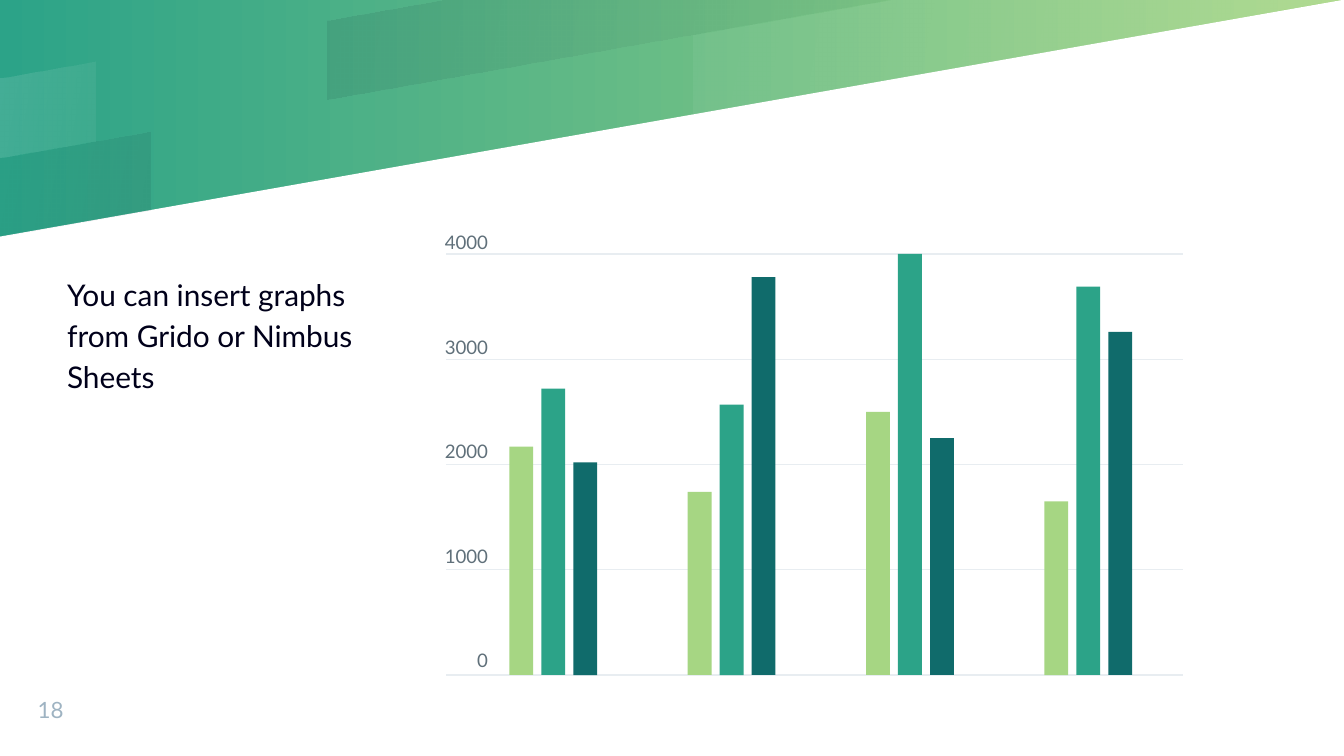
from dataclasses import dataclass
from typing import Optional

from lxml import etree
from pptx import Presentation
from pptx import util as u
from pptx.dml.color import RGBColor
from pptx.enum import shapes, text
from pptx.oxml import ns


@dataclass(frozen=True)
class Theme:
    font: str = "Lato"
    ink: str = "00001A"
    white: str = "FFFFFF"
    label: str = "60707A"
    page: str = "9EB3C2"
    grid: str = "E8EDF1"
    light: str = "A6D683"
    medium: str = "2CA388"
    dark: str = "106B6B"
    body_size: float = 16
    page_size: float = 12
    label_size: float = 10


@dataclass(frozen=True)
class Box:
    """A frame in shares of the slide's width and height."""
    left: float
    top: float
    width: float
    height: float


@dataclass(frozen=True)
class Band:
    """A translucent strip parallel to the header's slanted edge."""
    level: int
    left: float
    right: float
    color: str
    start_alpha: int
    end_alpha: int


@dataclass(frozen=True)
class Series:
    color: str
    values: tuple[int, ...]


THEME = Theme()
WIDTH, HEIGHT = u.Inches(10), u.Inches(5.625)

# The slanted edge falls from (EDGE_REACH, 0) to (0, EDGE_DROP).
EDGE_REACH, EDGE_DROP, BAND_DEPTH = 0.999, 0.313, 0.1045
BANDS = (
    Band(0, 0, 0.112, THEME.ink, 2, 8),
    Band(0, 0.516, EDGE_REACH, THEME.white, 5, 12),
    Band(1, 0, 0.071, THEME.white, 12, 5),
    Band(1, 0.244, 0.665, THEME.ink, 8, 2),
)

BODY = Box(0.05, 0.359, 0.24, 0.526)
PAGE = Box(0.028, 0.908, 0.053, 0.048)
AXIS = Box(0.324, 0.3055, 0.039, 0.588)
GRID = Box(0.332, 0.336, 0.548, 0.557)
TICKS = (4000, 3000, 2000, 1000, 0)

FIRST_COLUMN, GROUP_PITCH = 0.379, 0.1327
COLUMN_PITCH, COLUMN_WIDTH = 0.0238, 0.0178
SERIES = (
    Series(THEME.light, (2170, 1740, 2500, 1650)),
    Series(THEME.medium, (2720, 2570, 4000, 3690)),
    Series(THEME.dark, (2020, 3780, 2250, 3260)),
)


def rgb(color: str) -> RGBColor:
    return RGBColor.from_string(color)


def across(share: float) -> int:
    return round(WIDTH * share)


def down(share: float) -> int:
    return round(HEIGHT * share)


def frame(box: Box) -> tuple[int, int, int, int]:
    return across(box.left), down(box.top), across(box.width), down(box.height)


def edge(x: float, level: int) -> float:
    """Height of the slanted edge at x, raised by whole band depths."""
    return EDGE_DROP * (1 - x / EDGE_REACH) - level * BAND_DEPTH


def edge_end(level: int) -> float:
    """Where the raised edge meets the top of the slide."""
    return EDGE_REACH * (1 - level * BAND_DEPTH / EDGE_DROP)


def set_gradient(fill, colors: tuple[str, str], clockwise: float) -> None:
    fill.gradient()
    fill.gradient_angle = (360 - clockwise) % 360
    for stop, color, position in zip(fill.gradient_stops, colors, (0, 1)):
        stop.color.rgb = rgb(color)
        stop.position = position


def make_plain(shape) -> None:
    shape.shadow.inherit = False
    shape.line.fill.background()


def set_solid(shape, color: str) -> None:
    shape.fill.solid()
    shape.fill.fore_color.rgb = rgb(color)


def add_polygon(slide, points: list[tuple[float, float]]):
    corners = [(across(x), down(y)) for x, y in points]
    builder = slide.shapes.build_freeform(*corners[0])
    builder.add_line_segments(corners[1:], close=True)
    shape = builder.convert_to_shape()
    make_plain(shape)
    return shape


def add_band(slide, band: Band) -> None:
    upper = band.level + 1
    top_right = edge(band.right, upper)
    corner = (band.right, top_right) if top_right > 0 else (edge_end(upper), 0)
    shape = add_polygon(slide, [
        corner,
        (band.left, edge(band.left, upper)),
        (band.left, edge(band.left, band.level)),
        (band.right, max(0, edge(band.right, band.level))),
    ])
    set_gradient(shape.fill, (band.color, band.color), 10)
    colors = shape._element.spPr.iter(ns.qn("a:srgbClr"))
    for color, alpha in zip(colors, (band.start_alpha, band.end_alpha)):
        etree.SubElement(color, ns.qn("a:alpha")).set("val", str(alpha * 1000))


def add_text(slide, box: Box, lines: list[str], size: float, color: str,
             align=text.PP_ALIGN.LEFT, anchor=text.MSO_ANCHOR.TOP,
             spacing: Optional[float] = None, gap: float = 0) -> None:
    text_frame = slide.shapes.add_textbox(*frame(box)).text_frame
    text_frame.word_wrap = True
    text_frame.vertical_anchor = anchor
    text_frame.margin_left = text_frame.margin_right = 0
    text_frame.margin_top = text_frame.margin_bottom = 0
    text_frame.text = "\n".join(lines)
    for index, paragraph in enumerate(text_frame.paragraphs):
        paragraph.alignment = align
        paragraph.line_spacing = spacing
        if index and gap:
            paragraph.space_before = u.Pt(gap)
        paragraph.font.name = THEME.font
        paragraph.font.size = u.Pt(size)
        paragraph.font.color.rgb = rgb(color)


def add_gridline(slide, y: float) -> None:
    line = slide.shapes.add_connector(
        shapes.MSO_CONNECTOR.STRAIGHT, across(GRID.left), down(y),
        across(GRID.left + GRID.width), down(y))
    line.line.color.rgb = rgb(THEME.grid)
    line.line.width = u.Pt(0.75)
    etree.SubElement(line._element.spPr, ns.qn("a:effectLst"))


def value_top(value: int) -> float:
    """Height on the slide at which a value lies."""
    return GRID.top + GRID.height * (1 - value / max(TICKS))


def add_column(slide, group: int, position: int, value: int, color: str) -> None:
    left = FIRST_COLUMN + group * GROUP_PITCH + position * COLUMN_PITCH
    top = value_top(value)
    box = Box(left, top, COLUMN_WIDTH, value_top(0) - top)
    column = slide.shapes.add_shape(shapes.MSO_SHAPE.RECTANGLE, *frame(box))
    make_plain(column)
    set_solid(column, color)


def main() -> None:
    presentation = Presentation()
    presentation.slide_width, presentation.slide_height = WIDTH, HEIGHT
    slide = presentation.slides.add_slide(presentation.slide_layouts.get_by_name("Blank"))
    set_gradient(slide.background.fill, (THEME.medium, THEME.light), 0)
    page = add_polygon(slide, [(0, 1), (1, 1), (1, 0), (EDGE_REACH, 0), (0, EDGE_DROP)])
    set_solid(page, THEME.white)
    for band in BANDS:
        add_band(slide, band)

    add_text(slide, BODY, ["You can insert graphs from Grido or Nimbus Sheets"],
             THEME.body_size, THEME.ink, spacing=1.15)
    add_text(slide, PAGE, ["18"], THEME.page_size, THEME.page,
             anchor=text.MSO_ANCHOR.BOTTOM)
    for tick in TICKS:
        add_gridline(slide, value_top(tick))
    add_text(slide, AXIS, [str(tick) for tick in TICKS], THEME.label_size,
             THEME.label, align=text.PP_ALIGN.RIGHT, gap=44)
    for group, values in enumerate(zip(*(series.values for series in SERIES))):
        for position, (series, value) in enumerate(zip(SERIES, values)):
            add_column(slide, group, position, value, series.color)
    presentation.save("out.pptx")


if __name__ == "__main__":
    main()
